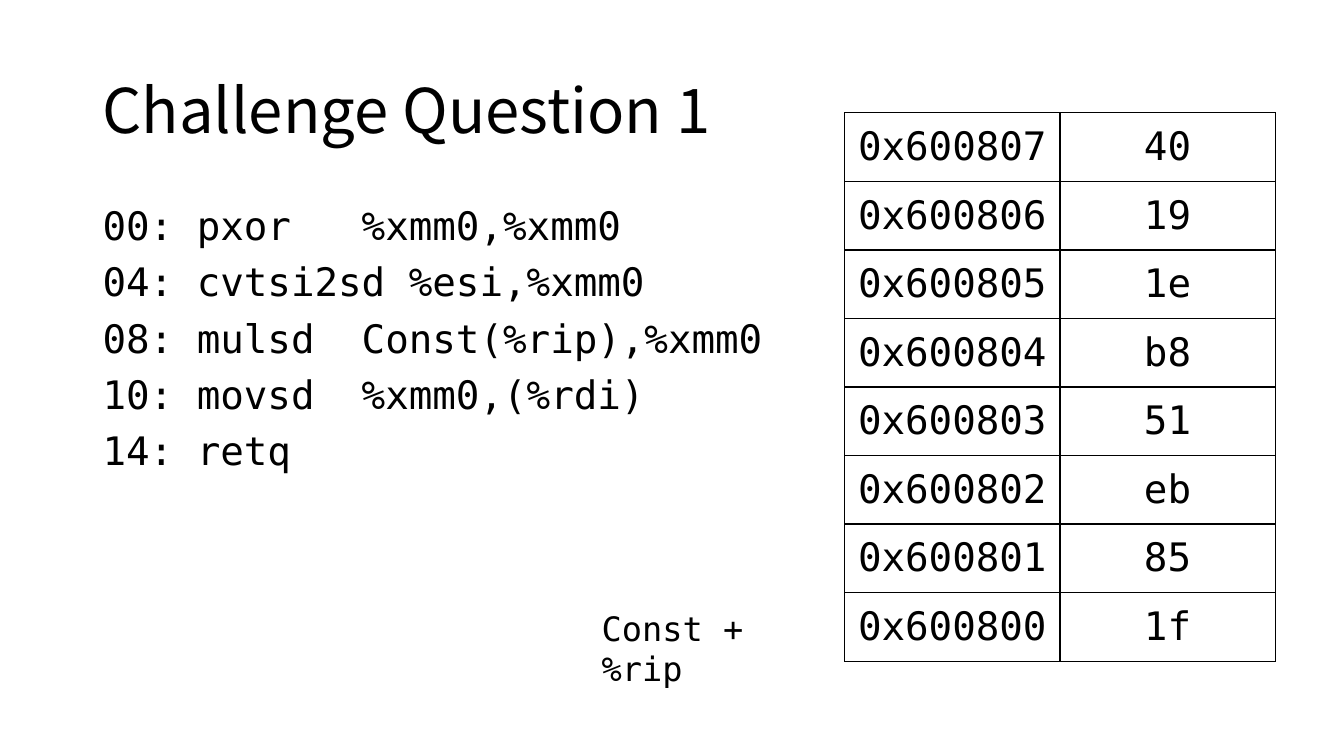
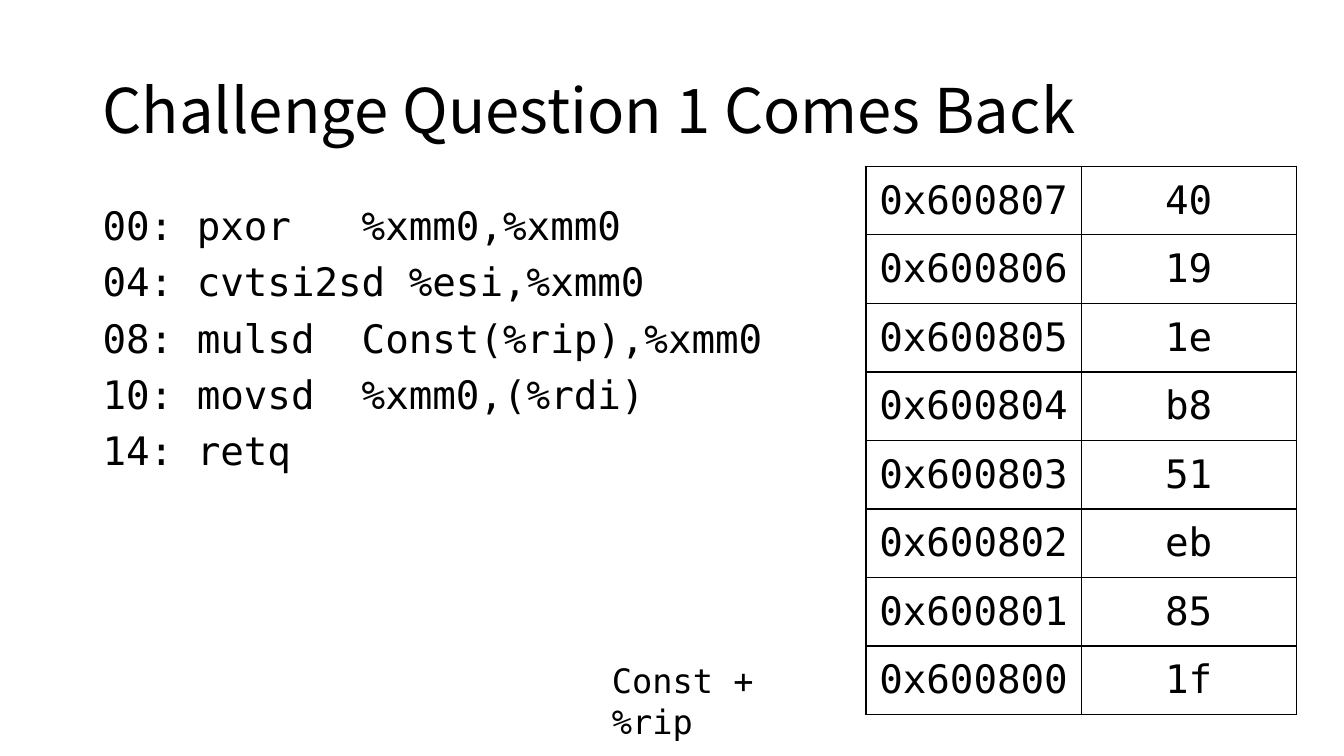
from lxml import etree
from pptx import Presentation
from pptx import util as u
from pptx.dml import color
from pptx.enum import text
from pptx.oxml import ns

# Shared look
COLORS = {"ink": "000000", "paper": "FFFFFF"}
SANS, MONO = "Noto Sans CJK SC", "DejaVu Sans Mono"

# Shared content
CODE = [
    "00: pxor   %xmm0,%xmm0",
    "04: cvtsi2sd %esi,%xmm0",
    "08: mulsd  Const(%rip),%xmm0",
    "10: movsd  %xmm0,(%rdi)",
    "14: retq",
]
BYTES = ["40", "19", "1e", "b8", "51", "eb", "85", "1f"]
TOP_ADDRESS = 0x600807

# Each slide: title, corner of the table, corner of the label (percent of the slide)
SLIDES = [
    ("Challenge Question 1", (62.85, 14.93), (44.03, 79.73)),
    ("Challenge Question 1 Comes Back", (64.43, 22), (44.8, 86.67)),
]

prs = Presentation()
prs.slide_width, prs.slide_height = u.Inches(13.33), u.Inches(7.5)


def box(x, y, w, h):
    """Turn percentages of the slide into left, top, width and height."""
    sw, sh = prs.slide_width, prs.slide_height
    return [int(v * side / 100) for v, side in zip((x, y, w, h), (sw, sh, sw, sh))]


def add_run(p, words, size, font=MONO):
    r = p.add_run()
    r.text = words
    r.font.size, r.font.name = u.Pt(size), font
    r.font.color.rgb = color.RGBColor.from_string(COLORS["ink"])


for title, table_at, label_at in SLIDES:
    s = prs.slides.add_slide(prs.slide_layouts[1])
    s.background.fill.solid()
    s.background.fill.fore_color.rgb = color.RGBColor.from_string(COLORS["paper"])

    # Title
    sp = s.shapes.title
    sp.left, sp.top, sp.width, sp.height = box(6.88, 5.33, 86.25, 19.33)
    tf = sp.text_frame
    tf.auto_size = text.MSO_AUTO_SIZE.NONE
    tf.vertical_anchor = text.MSO_ANCHOR.MIDDLE
    p = tf.paragraphs[0]
    p.alignment, p.line_spacing = text.PP_ALIGN.LEFT, 0.9
    add_run(p, title, 44, SANS)

    # Code listing
    sp = s.placeholders[1]
    sp.left, sp.top, sp.width, sp.height = box(6.88, 26.67, 50.63, 63.44)
    tf = sp.text_frame
    tf.auto_size = text.MSO_AUTO_SIZE.NONE
    for i, line in enumerate(CODE):
        p = tf.add_paragraph() if i else tf.paragraphs[0]
        p.line_spacing, p.space_before = 0.9, u.Pt(10)
        pPr = p._p.get_or_add_pPr()
        pPr.set("marL", "0")
        pPr.set("indent", "0")
        etree.SubElement(pPr, ns.qn("a:buNone"))
        add_run(p, line, 28)

    # Memory table, highest address first
    frame = s.shapes.add_table(len(BYTES), 2, *box(*table_at, 32.03, 72.53))
    table = frame.table
    table.first_row = table.horz_banding = False
    for row, byte in enumerate(BYTES):
        for col, words in enumerate((f"{TOP_ADDRESS - row:#x}", byte)):
            cell = table.cell(row, col)
            cell.vertical_anchor = text.MSO_ANCHOR.MIDDLE
            p = cell.text_frame.paragraphs[0]
            p.alignment = text.PP_ALIGN.CENTER
            add_run(p, words, 28)
            tcPr = cell._tc.get_or_add_tcPr()
            for side in "LRTB":
                ln = etree.SubElement(tcPr, ns.qn(f"a:ln{side}"), w=str(u.Pt(1)))
                fill = etree.SubElement(ln, ns.qn("a:solidFill"))
                etree.SubElement(fill, ns.qn("a:srgbClr"), val=COLORS["ink"])
            cell.fill.background()

    # Label beside the lowest address
    sp = s.shapes.add_textbox(*box(*label_at, 18.23, 6.67))
    tf = sp.text_frame
    tf.word_wrap = True
    add_run(tf.paragraphs[0], "Const + %rip", 24)

prs.save("out.pptx")
